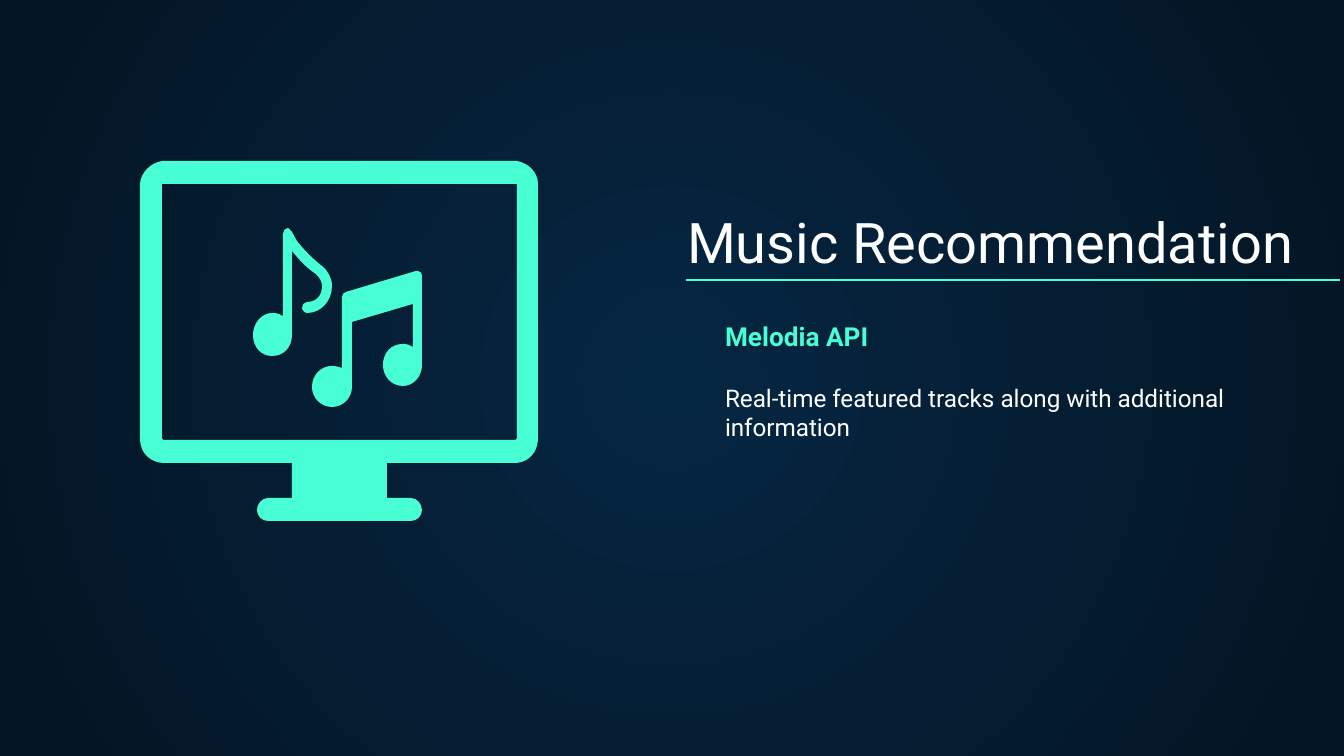
import pptx
import pptx.dml.color
import pptx.enum.shapes
import pptx.enum.text
import pptx.util
from lxml import etree
from pptx.oxml.ns import qn

EMU_PER_PX = 914400 / 134.4
MINT = "48FFD5"
WHITE = "FFFFFF"


def px(length):
    return pptx.util.Emu(round(length * EMU_PER_PX))


def rgb(hex_color):
    return pptx.dml.color.RGBColor.from_string(hex_color)


presentation = pptx.Presentation()
presentation.slide_width = px(1344)
presentation.slide_height = px(756)
slide = presentation.slides.add_slide(presentation.slide_layouts[5])

background = slide.background.fill
background.gradient()
for stop, color in zip(background.gradient_stops, ("052643", "041523")):
    stop.color.rgb = rgb(color)
gradient = next(slide.element.iter(qn("a:gradFill")))
gradient.remove(gradient.find(qn("a:lin")))
circle = etree.SubElement(gradient, qn("a:path"), {"path": "circle"})
etree.SubElement(circle, qn("a:fillToRect"), dict.fromkeys("ltrb", "50000"))

monitor = """
    M 517 184 L 517 438 C 517 439 516 440 515 440 L 164 440
    C 163 440 162 439 162 438 L 162 184
    M 162 161 C 151 163 141 172 140 184 L 140 438 C 140 442 141 447 143 451
    C 147 458 155 463 164 463 L 292 463 L 292 498 L 268 498
    C 262 498 257 504 257 510 C 257 516 262 521 268 521 L 411 521
    C 417 521 422 516 422 510 C 422 504 417 498 411 498 L 387 498 L 387 463
    L 515 463 C 524 463 531 458 535 451 C 537 447 538 442 538 438
    L 538 184 C 538 172 528 163 517 161"""
single_note = """
    M 288 228 C 285 228 283 231 283 234 L 283 316
    C 280 314 277 313 272 313 C 262 313 253 323 253 335
    C 253 347 261 356 272 356 C 284 356 292 347 292 335 L 292 251
    C 300 261 308 269 316 274 C 320 278 322 282 322 286
    C 322 296 316 302 307 302 C 304 302 302 305 302 308
    C 302 310 305 313 307 313 C 321 313 332 301 332 286
    C 332 278 328 271 322 266 C 313 259 304 250 297 241
    L 292 232 C 290 230 289 228 288 228"""
beamed_notes = """
    M 418 271 C 417 271 417 271 416 271 L 346 292 C 344 293 342 294 342 297
    L 342 368 C 339 367 336 366 332 366 C 321 366 312 375 312 387
    C 312 398 321 407 332 407 C 343 407 352 398 352 387 L 352 322 L 413 304
    L 413 347 C 410 345 407 344 403 344 C 391 344 383 353 383 365
    C 383 376 391 386 403 386 C 414 386 422 376 422 365 L 422 276
    C 422 274 421 271 418 271"""

for outline in (monitor, single_note, beamed_notes):
    commands = []
    contours = []
    for command in outline.replace("M", "|M").replace("L", "|L").replace("C", "|C").split("|")[1:]:
        letter, *numbers = command.split()
        values = [px(int(number)) for number in numbers]
        if letter == "M":
            contours.append([])
        else:
            commands.append(letter)
        contours[-1] += zip(values[::2], values[1::2])

    builder = slide.shapes.build_freeform(*contours[0][0])
    for contour in contours:
        if contour is not contours[0]:
            builder.move_to(*contour[0])
        builder.add_line_segments(contour[1:], close=True)
    shape = builder.convert_to_shape()

    segments = iter(list(shape.element.iter(qn("a:lnTo"))))
    for letter in commands:
        segment = next(segments)
        if letter == "C":
            curve = etree.Element(qn("a:cubicBezTo"))
            segment.addprevious(curve)
            for control in (segment, next(segments), next(segments)):
                curve.append(control[0])
                control.getparent().remove(control)

    shape.shadow.inherit = False
    shape.fill.solid()
    shape.fill.fore_color.rgb = rgb(MINT)
    shape.line.fill.background()

rule = slide.shapes.add_connector(
    pptx.enum.shapes.MSO_CONNECTOR.STRAIGHT, px(686), px(280), px(1340), px(280))
rule.line.color.rgb = rgb(MINT)
rule.line.width = pptx.util.Pt(0.75)
etree.SubElement(rule.element.spPr, qn("a:effectLst"))

title = slide.shapes.title
title.left, title.top, title.width, title.height = px(674), px(199), px(643), px(89)
details = slide.shapes.add_textbox(px(712), px(307), px(542), px(149))

texts = [
    (title, "BOTTOM", [("Music Recommendation", 30, WHITE, False, 0)]),
    (details, "TOP", [
        ("Melodia API", 14, MINT, True, 0),
        ("Real-time featured tracks along with additional information", 13, WHITE, False, 17),
    ]),
]
for shape, anchor, lines in texts:
    frame = shape.text_frame
    frame_format = {
        "word_wrap": True,
        "auto_size": pptx.enum.text.MSO_AUTO_SIZE.NONE,
        "vertical_anchor": pptx.enum.text.MSO_ANCHOR[anchor],
        "margin_left": px(13), "margin_right": px(13),
        "margin_top": px(13), "margin_bottom": px(13),
    }
    for attribute, value in frame_format.items():
        setattr(frame, attribute, value)
    frame.text = "\n".join(line[0] for line in lines)
    for paragraph, (text, size, color, bold, space) in zip(frame.paragraphs, lines):
        paragraph.alignment = pptx.enum.text.PP_ALIGN.LEFT
        if space:
            paragraph.space_before = pptx.util.Pt(space)
        font_format = {"name": "Roboto", "size": pptx.util.Pt(size), "bold": bold}
        for attribute, value in font_format.items():
            setattr(paragraph.font, attribute, value)
        paragraph.font.color.rgb = rgb(color)

presentation.save("out.pptx")
